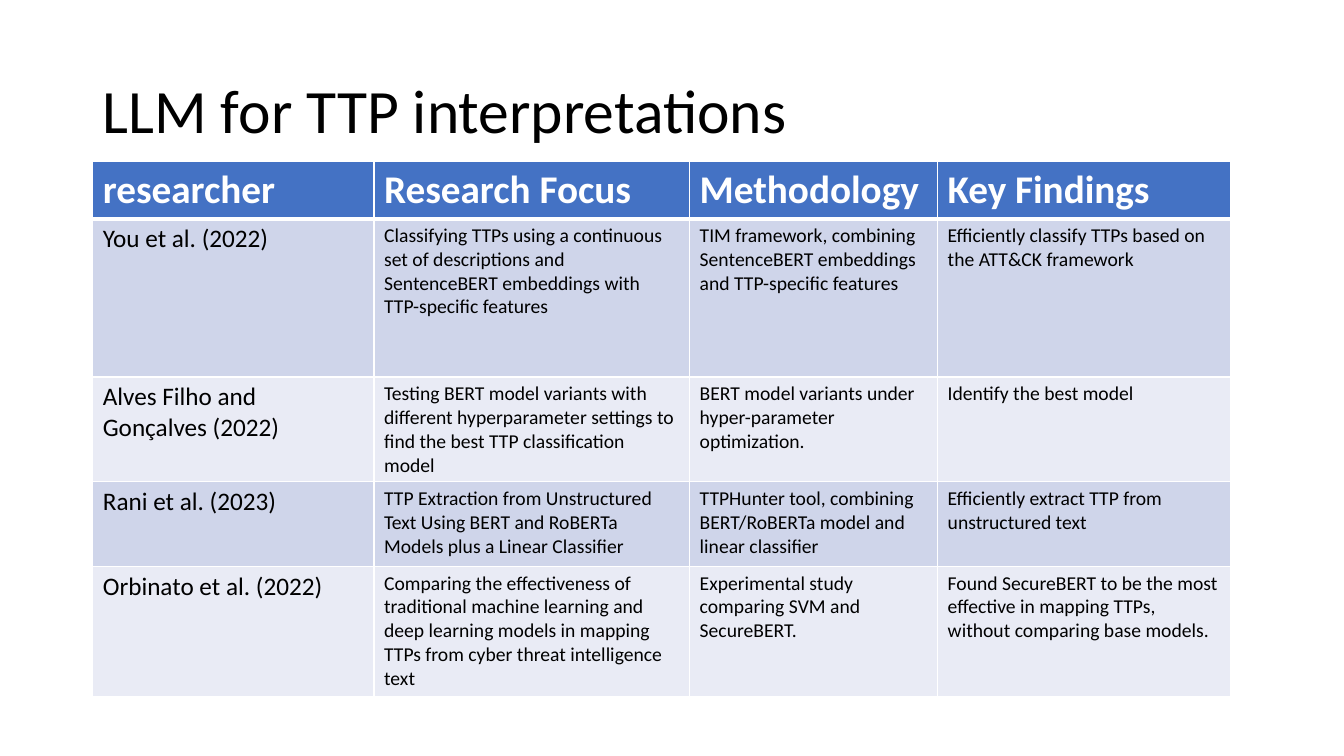
from lxml.etree import SubElement
from pptx import Presentation
from pptx.dml.color import RGBColor
from pptx.enum.text import MSO_ANCHOR
from pptx.oxml.ns import qn
from pptx.util import Inches, Pt

FONT = "Calibri"
BLACK = RGBColor(0x00, 0x00, 0x00)
WHITE = RGBColor(0xFF, 0xFF, 0xFF)
HEADER_BLUE = RGBColor(0x44, 0x72, 0xC4)
BAND_COLOURS = (RGBColor(0xE9, 0xEB, 0xF5), RGBColor(0xCF, 0xD5, 0xEA))

COLUMN_WIDTHS = (2.79, 3.13, 2.46, 2.91)
ROW_HEIGHTS = (0.57, 1.57, 1.04, 0.84, 1.29)
STUDIES = (
    ("researcher", "Research Focus", "Methodology", "Key Findings"),
    (
        "You et al. (2022)",
        "Classifying TTPs using a continuous set of descriptions and "
        "SentenceBERT embeddings with TTP-specific features",
        "TIM framework, combining SentenceBERT embeddings and TTP-specific features",
        "Efficiently classify TTPs based on the ATT&CK framework",
    ),
    (
        "Alves Filho and Gonçalves (2022)",
        "Testing BERT model variants with different hyperparameter settings "
        "to find the best TTP classification model",
        "BERT model variants under hyper-parameter optimization.",
        "Identify the best model",
    ),
    (
        "Rani et al. (2023)",
        "TTP Extraction from Unstructured Text Using BERT and RoBERTa Models "
        "plus a Linear Classifier",
        "TTPHunter tool, combining BERT/RoBERTa model and linear classifier",
        "Efficiently extract TTP from unstructured text",
    ),
    (
        "Orbinato et al. (2022)",
        "Comparing the effectiveness of traditional machine learning and deep "
        "learning models in mapping TTPs from cyber threat intelligence text",
        "Experimental study comparing SVM and SecureBERT.",
        "Found SecureBERT to be the most effective in mapping TTPs, "
        "without comparing base models.",
    ),
)


def write_text(text_frame, text, size, colour, bold=False):
    """Put one formatted paragraph in a text frame and return it."""
    text_frame.text = text
    paragraph = text_frame.paragraphs[0]
    font = paragraph.runs[0].font
    font.name, font.size, font.bold = FONT, Pt(size), bold
    font.color.rgb = colour
    return paragraph


def add_border(cell, side, width):
    """Draw a white border on one side (L, R, T or B) of a cell."""
    properties = cell._tc.get_or_add_tcPr()
    line = SubElement(properties, qn(f"a:ln{side}"), w=str(Pt(width)))
    fill = SubElement(line, qn("a:solidFill"))
    SubElement(fill, qn("a:srgbClr"), val=str(WHITE))


def add_title(slide, left, top, width, height):
    """Add the slide title in the given box."""
    box = slide.shapes.add_textbox(
        Inches(left), Inches(top), Inches(width), Inches(height)
    )
    box.text_frame.word_wrap = True
    box.text_frame.vertical_anchor = MSO_ANCHOR.MIDDLE
    paragraph = write_text(box.text_frame, "LLM for TTP interpretations", 44, BLACK)
    paragraph.line_spacing = 0.9


def format_cell(cell, text, row, column):
    """Fill one cell and style it by its row and column."""
    widths = {
        "L": 1,
        "R": 1,
        "T": 3 if row == 1 else 1,
        "B": 3 if row == 0 else 1,
    }
    for side, width in widths.items():
        add_border(cell, side, width)
    cell.fill.solid()
    if row == 0:
        cell.fill.fore_color.rgb = HEADER_BLUE
        write_text(cell.text_frame, text, 28, WHITE, bold=True)
    else:
        cell.fill.fore_color.rgb = BAND_COLOURS[row % 2]
        write_text(cell.text_frame, text, 18 if column == 0 else 14, BLACK)


def add_studies_table(slide, left, top):
    """Add the table of studies with its top left corner at the given place."""
    table = slide.shapes.add_table(
        len(ROW_HEIGHTS),
        len(COLUMN_WIDTHS),
        Inches(left),
        Inches(top),
        Inches(sum(COLUMN_WIDTHS)),
        Inches(sum(ROW_HEIGHTS)),
    ).table
    for column, width in zip(table.columns, COLUMN_WIDTHS):
        column.width = Inches(width)
    for row, height in zip(table.rows, ROW_HEIGHTS):
        row.height = Inches(height)
    for row, study in enumerate(STUDIES):
        for column, text in enumerate(study):
            format_cell(table.cell(row, column), text, row, column)


def main():
    """Build the slide and save the presentation."""
    presentation = Presentation()
    presentation.slide_width = Inches(13.33)
    presentation.slide_height = Inches(7.5)
    slide = presentation.slides.add_slide(presentation.slide_layouts[6])
    add_title(slide, 0.92, 0.4, 11.5, 1.45)
    add_studies_table(slide, 0.92, 1.6)
    presentation.save("out.pptx")


if __name__ == "__main__":
    main()
